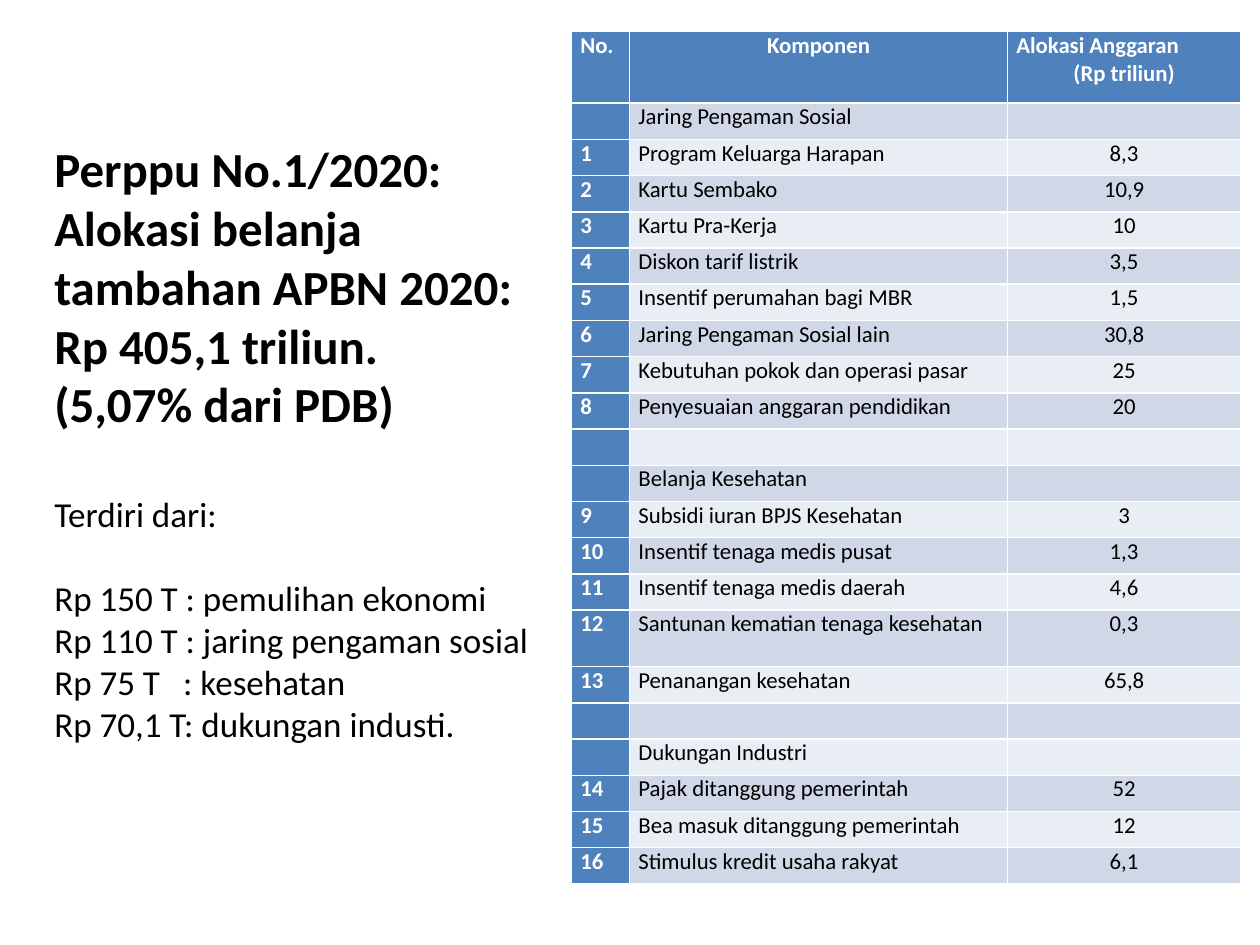
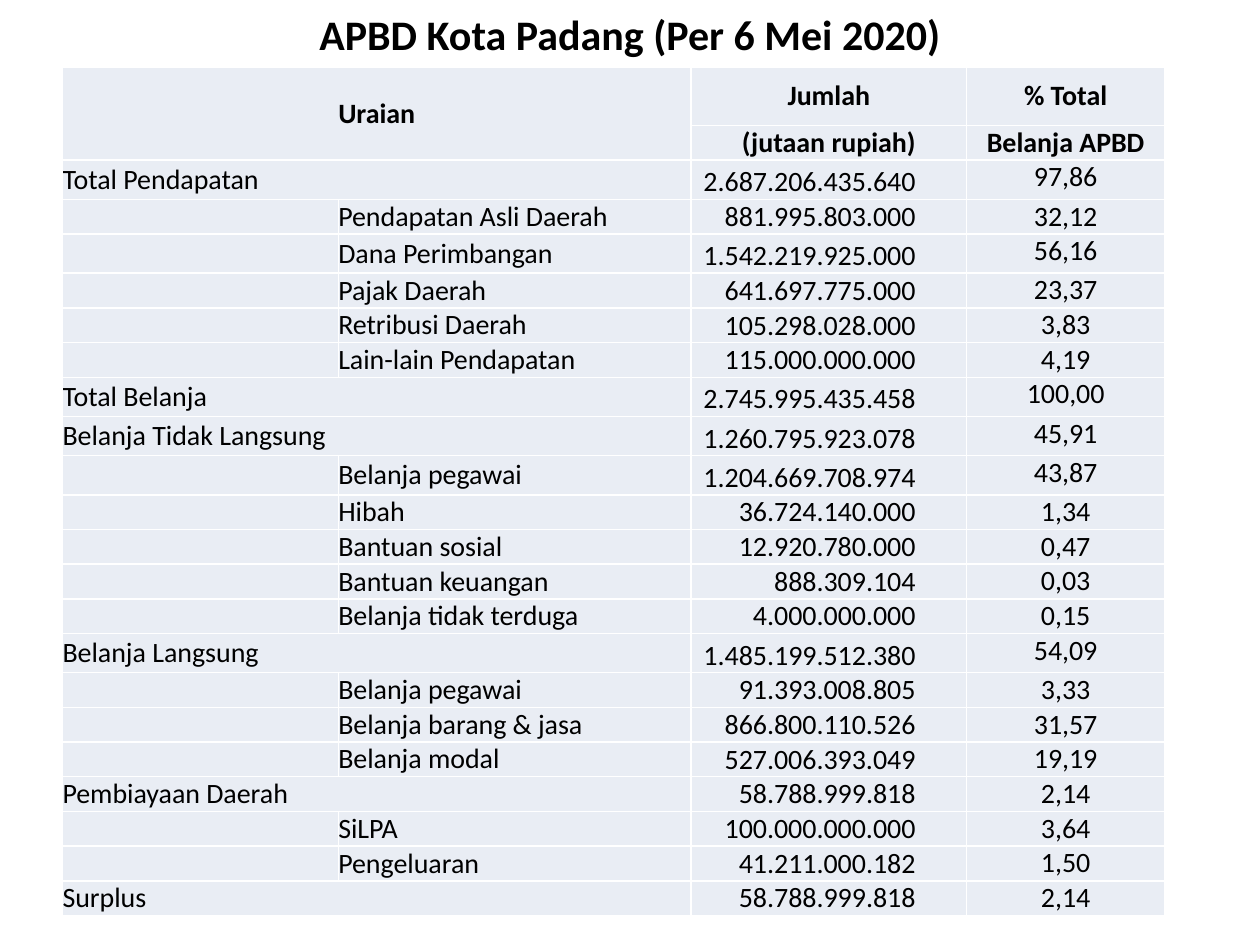
"""Build two slides on the 2020 national and Padang city budgets."""
from lxml import etree
from pptx import Presentation
from pptx.dml.color import RGBColor
from pptx.enum.text import MSO_ANCHOR, MSO_AUTO_SIZE, PP_ALIGN
from pptx.oxml.ns import qn
from pptx.util import Cm, Pt

LEFT, CENTER, RIGHT, JUSTIFY = PP_ALIGN.LEFT, PP_ALIGN.CENTER, PP_ALIGN.RIGHT, PP_ALIGN.JUSTIFY
TOP, MIDDLE, BOTTOM = MSO_ANCHOR.TOP, MSO_ANCHOR.MIDDLE, MSO_ANCHOR.BOTTOM
NO_AUTOFIT = MSO_AUTO_SIZE.NONE

FONT = "Calibri"
COLORS = {"text": "000000", "white": "FFFFFF", "blue": "4F81BD", "band": "D0D8E8", "pale": "E9EDF4"}

HEADING = {"size": 28, "bold": True}
DETAIL = {"size": 20, "bold": False}
STIMULUS_TITLE = [
    ("Perppu No.1/2020:", HEADING, 0),
    ("Alokasi belanja tambahan APBN 2020:", HEADING, 0),
    ("Rp 405,1 triliun.", HEADING, 0),
    ("(5,07% dari PDB)", HEADING, 0),
    ("Terdiri dari:", DETAIL, 34),
    ("Rp 150 T : pemulihan ekonomi", DETAIL, 24),
    ("Rp 110 T : jaring pengaman sosial", DETAIL, 0),
    ("Rp 75 T\t: kesehatan", DETAIL, 0),
    ("Rp 70,1 T: dukungan industi.", DETAIL, 0),
]
STIMULUS_HEADER = [
    [("No.", JUSTIFY)],
    [("Komponen", CENTER)],
    [("Alokasi Anggaran", JUSTIFY), ("(Rp triliun)", CENTER)],
]
STIMULUS_GROUPS = [
    ("Jaring Pengaman Sosial", [
        ("Program Keluarga Harapan", "8,3"),
        ("Kartu Sembako", "10,9"),
        ("Kartu Pra-Kerja", "10"),
        ("Diskon tarif listrik", "3,5"),
        ("Insentif perumahan bagi MBR", "1,5"),
        ("Jaring Pengaman Sosial lain", "30,8"),
        ("Kebutuhan pokok dan operasi pasar", "25"),
        ("Penyesuaian anggaran pendidikan", "20"),
    ]),
    ("Belanja Kesehatan", [
        ("Subsidi iuran BPJS Kesehatan", "3"),
        ("Insentif tenaga medis pusat", "1,3"),
        ("Insentif tenaga medis daerah", "4,6"),
        ("Santunan kematian tenaga kesehatan", "0,3"),
        ("Penanangan kesehatan", "65,8"),
    ]),
    ("Dukungan Industri", [
        ("Pajak ditanggung pemerintah", "52"),
        ("Bea masuk ditanggung pemerintah", "12"),
        ("Stimulus kredit usaha rakyat", "6,1"),
    ]),
]
TALL_COMPONENT = "12"

CITY_TITLE = [("APBD Kota Padang (Per 6 Mei 2020)", {"size": 24, "bold": True}, 0)]
CITY_HEADER = [("Jumlah", "% Total"), ("(jutaan rupiah)", "Belanja APBD")]
CITY_GROUPS = [
    ("Total Pendapatan", "2.687.206.435.640", "97,86", [
        ("Pendapatan Asli Daerah", "881.995.803.000", "32,12"),
        ("Dana Perimbangan", "1.542.219.925.000", "56,16"),
        ("Pajak Daerah", "641.697.775.000", "23,37"),
        ("Retribusi Daerah", "105.298.028.000", "3,83"),
        ("Lain-lain Pendapatan", "115.000.000.000", "4,19"),
    ]),
    ("Total Belanja", "2.745.995.435.458", "100,00", []),
    ("Belanja Tidak Langsung", "1.260.795.923.078", "45,91", [
        ("Belanja pegawai", "1.204.669.708.974", "43,87"),
        ("Hibah", "36.724.140.000", "1,34"),
        ("Bantuan sosial", "12.920.780.000", "0,47"),
        ("Bantuan keuangan", "888.309.104", "0,03"),
        ("Belanja tidak terduga", "4.000.000.000", "0,15"),
    ]),
    ("Belanja Langsung", "1.485.199.512.380", "54,09", [
        ("Belanja pegawai", "91.393.008.805", "3,33"),
        ("Belanja barang & jasa", "866.800.110.526", "31,57"),
        ("Belanja modal", "527.006.393.049", "19,19"),
    ]),
    ("Pembiayaan Daerah", "58.788.999.818", "2,14", [
        ("SiLPA", "100.000.000.000", "3,64"),
        ("Pengeluaran", "41.211.000.182", "1,50"),
    ]),
    ("Surplus", "58.788.999.818", "2,14", []),
]
TRILLION_LENGTH = len("1.000.000.000.000")


def write(paragraph, text, alignment, size, bold=False, color="text"):
    """Fill a paragraph with one formatted run, or size it when empty."""
    paragraph.alignment = alignment
    if not text:
        end = etree.SubElement(paragraph._p, qn("a:endParaRPr"))
        end.set("sz", str(size * 100))
        return
    run = paragraph.add_run()
    run.text = text
    for name, value in {"name": FONT, "size": Pt(size), "bold": bold}.items():
        setattr(run.font, name, value)
    run.font.color.rgb = RGBColor.from_string(COLORS[color])


def add_title(slide, lines, box, alignment):
    """Place the title placeholder and write its paragraphs."""
    title = slide.shapes.title
    for name, value in zip(("left", "top", "width", "height"), box):
        setattr(title, name, Cm(value))
    frame = title.text_frame
    for name, value in {"word_wrap": True, "auto_size": NO_AUTOFIT, "vertical_anchor": MIDDLE}.items():
        setattr(frame, name, value)
    for index, (text, style, gap) in enumerate(lines):
        paragraph = frame.add_paragraph() if index else frame.paragraphs[0]
        if "\t" in text:
            tabs = etree.SubElement(paragraph._p.get_or_add_pPr(), qn("a:tabLst"))
            etree.SubElement(tabs, qn("a:tab"), pos=str(Cm(2.6)), algn="l")
        if gap:
            paragraph.space_before = Pt(gap)
        write(paragraph, text, alignment, **style)


def add_grid(slide, left, top, widths, heights, flags):
    """Add a table with the given column widths and row heights."""
    frame = slide.shapes.add_table(len(heights), len(widths), Cm(left), Cm(top),
                                   Cm(sum(widths)), Cm(sum(heights)))
    table = frame.table
    for name in ("first_row", "first_col", "horz_banding"):
        setattr(table, name, name in flags)
    for column, width in zip(table.columns, widths):
        column.width = Cm(width)
    for row, height in zip(table.rows, heights):
        row.height = Cm(height)
    return table


def fill_cell(cell, lines, fill, size, side=0, right=None, anchor=TOP, **style):
    """Colour a cell and write (text, alignment) lines into it."""
    cell.fill.solid()
    cell.fill.fore_color.rgb = RGBColor.from_string(COLORS[fill])
    margins = {"margin_left": side, "margin_right": side if right is None else right,
               "margin_top": 0, "margin_bottom": 0}
    for name, value in margins.items():
        setattr(cell, name, Cm(value))
    cell.vertical_anchor = anchor
    for index, (text, alignment) in enumerate(lines):
        paragraph = cell.text_frame.add_paragraph() if index else cell.text_frame.paragraphs[0]
        write(paragraph, text, alignment, size, **style)


def stimulus_rows():
    """List the body rows, numbering components across all groups."""
    rows, number = [], 0
    for group, components in STIMULUS_GROUPS:
        if rows:
            rows.append(("", "", ""))
        rows.append(("", group, ""))
        for component, amount in components:
            number += 1
            rows.append((str(number), component, amount))
    return rows


def build_stimulus(slide):
    """Lay out the national stimulus slide."""
    add_title(slide, STIMULUS_TITLE, (0.84, 1.7, 10.67, 14.4), LEFT)
    rows = stimulus_rows()
    heights = [1.44] + [1.14 if row[0] == TALL_COMPONENT else 0.73 for row in rows]
    table = add_grid(slide, 11.52, 0.64, (1.17, 7.62, 4.7), heights,
                     ("first_row", "first_col", "horz_banding"))
    shared = {"size": 13, "side": 0.18}
    label = {"fill": "blue", "bold": True, "color": "white", **shared}
    for column, lines in enumerate(STIMULUS_HEADER):
        fill_cell(table.cell(0, column), lines, **label)
    for index, (number, component, amount) in enumerate(rows, 1):
        fill = "band" if index % 2 else "pale"
        fill_cell(table.cell(index, 0), [(number, JUSTIFY)], **label)
        fill_cell(table.cell(index, 1), [(component, JUSTIFY)], fill, **shared)
        fill_cell(table.cell(index, 2), [(amount, CENTER)], fill, **shared)


def build_city(slide):
    """Lay out the Padang city budget slide."""
    add_title(slide, CITY_TITLE, (1.27, 0, 22.86, 1.35), CENTER)
    rows = []
    for group, amount, share, items in CITY_GROUPS:
        rows.append((group, "", amount, share))
        rows += [("", *item) for item in items]
    heights = [1.18, 0.7] + [0.79 if len(row[2]) == TRILLION_LENGTH else 0.7 for row in rows]
    table = add_grid(slide, 1.26, 1.35, (5.56, 7.11, 5.56, 3.99), heights, ())
    shared = {"fill": "pale", "size": 16}
    heading = {"anchor": MIDDLE, "bold": True, **shared}
    table.cell(0, 0).merge(table.cell(1, 1))
    fill_cell(table.cell(0, 0), [("Uraian", CENTER)], **heading)
    for index, texts in enumerate(CITY_HEADER):
        for column, text in enumerate(texts, 2):
            fill_cell(table.cell(index, column), [(text, CENTER)], **heading)
    for index, (group, item, amount, share) in enumerate(rows, len(CITY_HEADER)):
        fill_cell(table.cell(index, 0), [(group, LEFT)], anchor=MIDDLE, **shared)
        if group:
            table.cell(index, 0).merge(table.cell(index, 1))
        else:
            fill_cell(table.cell(index, 1), [(item, LEFT)], anchor=MIDDLE, **shared)
        fill_cell(table.cell(index, 2), [(amount, RIGHT)], right=1.03, anchor=BOTTOM, **shared)
        fill_cell(table.cell(index, 3), [(share, CENTER)], **shared)


def main():
    """Create the presentation and save it."""
    presentation = Presentation()
    presentation.slide_width, presentation.slide_height = Cm(25.4), Cm(19.05)
    title_only = presentation.slide_layouts[5]
    for build in (build_stimulus, build_city):
        build(presentation.slides.add_slide(title_only))
    presentation.save("out.pptx")


if __name__ == "__main__":
    main()
